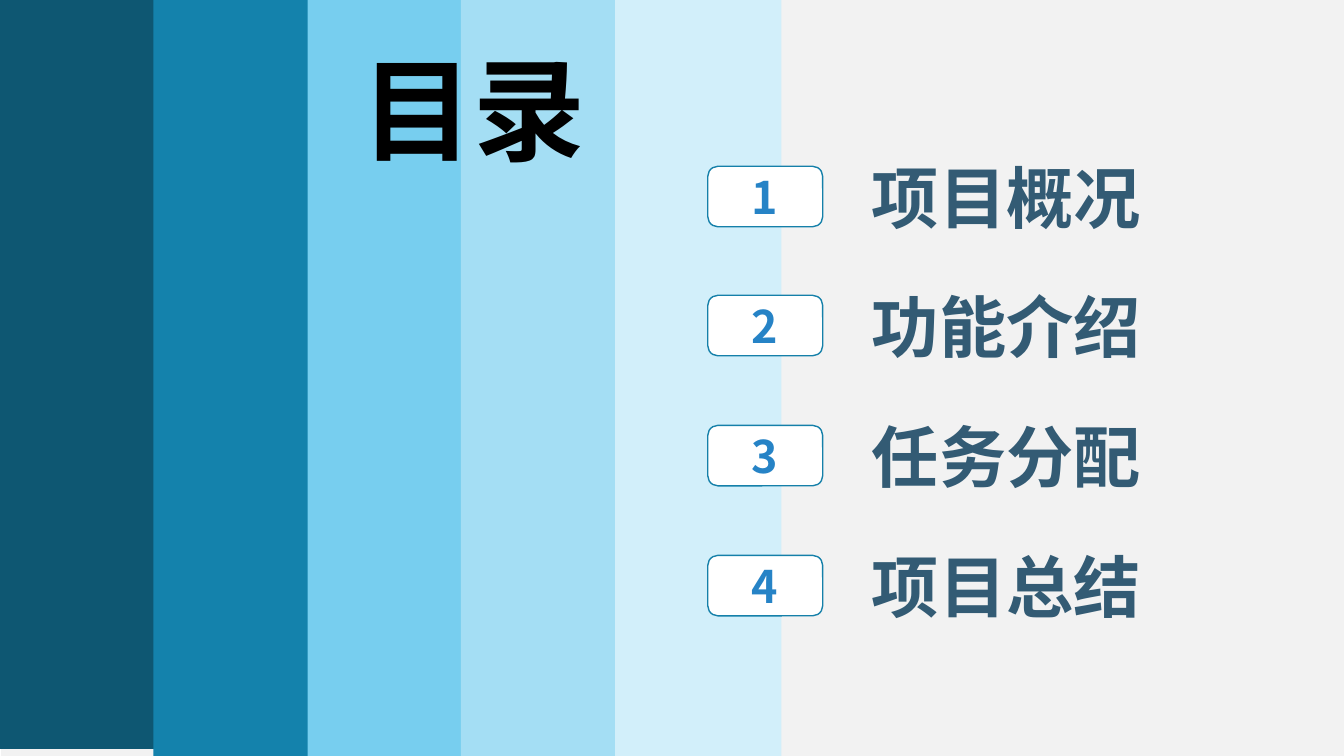
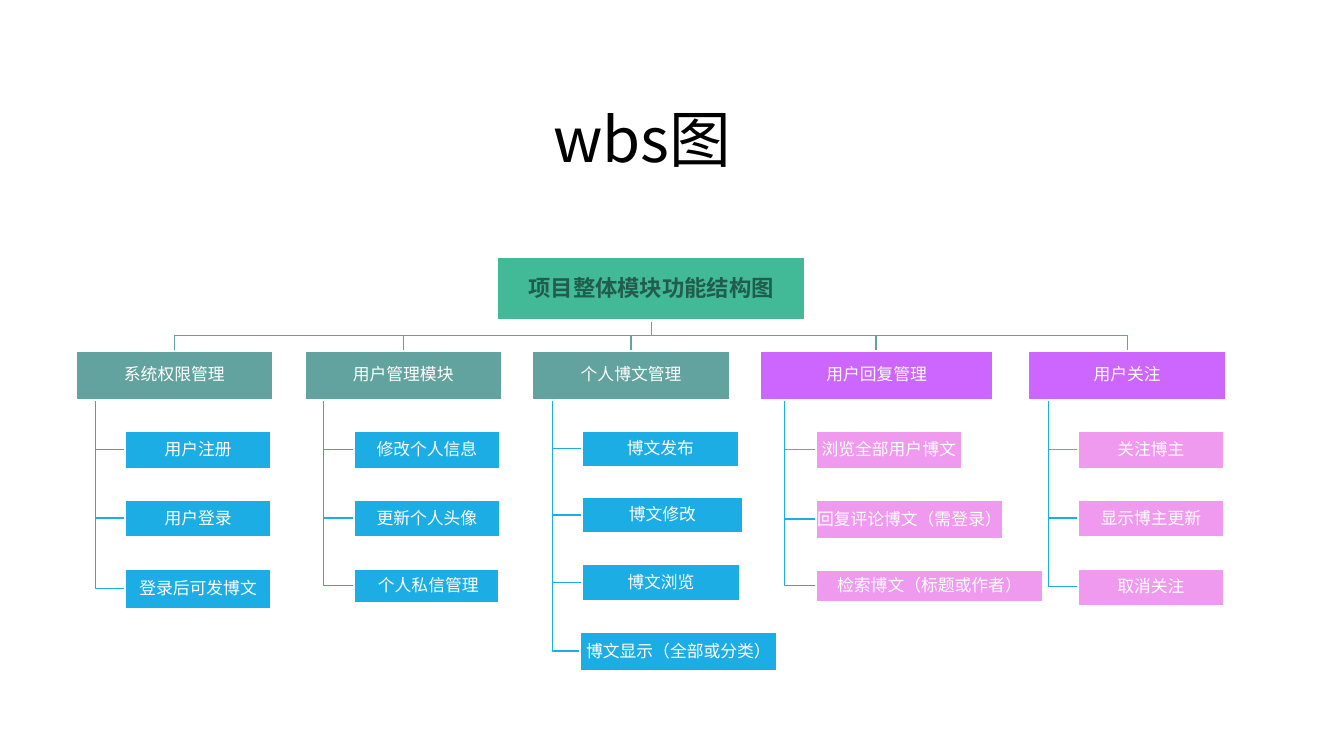
import lxml.etree
import pptx
import pptx.dml.color
import pptx.enum.dml
import pptx.enum.shapes
import pptx.enum.text
import pptx.oxml.ns
import pptx.util

PX = 9144
RGB = pptx.dml.color.RGBColor
SHAPE = pptx.enum.shapes.MSO_SHAPE
ALIGN = pptx.enum.text.PP_ALIGN
ANCHOR = pptx.enum.text.MSO_ANCHOR
FIT = pptx.enum.text.MSO_AUTO_SIZE
CJK_FONT = "Noto Sans CJK SC"

BLACK = RGB(0x00, 0x00, 0x00)
WHITE = RGB(0xFF, 0xFF, 0xFF)
PALE_GREY = RGB(0xF2, 0xF2, 0xF2)
SLATE = RGB(0x33, 0x5B, 0x74)
NUMBER_BLUE = RGB(0x26, 0x83, 0xC6)
NUMBER_EDGE = RGB(0x15, 0x80, 0xA9)
GREEN = RGB(0x42, 0xBA, 0x97)
DARK_GREEN = RGB(0x21, 0x5D, 0x4C)
TEAL = RGB(0x62, 0xA3, 0x9F)
SKY = RGB(0x1C, 0xAD, 0xE4)
PURPLE = RGB(0xCC, 0x66, 0xFF)
PINK = RGB(0xEF, 0x99, 0xEF)
STRIPES = [
    RGB(0x0E, 0x57, 0x72),
    RGB(0x14, 0x82, 0xAC),
    RGB(0x77, 0xCE, 0xEF),
    RGB(0xA4, 0xDE, 0xF4),
    RGB(0xD2, 0xEF, 0xFA),
]


def place(slide, bounds, kind=None, fill=None, line=None, weight=1):
    left, top, width, height = [length * PX for length in bounds]
    if kind is None:
        return slide.shapes.add_textbox(left, top, width, height)
    shape = slide.shapes.add_shape(kind, left, top, width, height)
    shape.shadow.inherit = False
    shape.fill.solid()
    shape.fill.fore_color.rgb = fill
    if line is None:
        shape.line.fill.background()
    else:
        shape.line.color.rgb = line
        shape.line.width = pptx.util.Pt(weight)
    return shape


def write(shape, text, size, color, font=CJK_FONT, bold=False, align=ALIGN.LEFT,
          anchor=ANCHOR.TOP, wrap=True, fit=FIT.NONE, inset=None, spacing=None):
    frame = shape.text_frame
    frame.word_wrap = wrap
    frame.auto_size = fit
    frame.vertical_anchor = anchor
    if inset is not None:
        frame.margin_left = frame.margin_right = inset * PX
        frame.margin_top = frame.margin_bottom = inset * PX
    paragraph = frame.paragraphs[0]
    paragraph.alignment = align
    if spacing is not None:
        paragraph.line_spacing = spacing
    run = paragraph.add_run()
    run.text = text
    run.font.size = pptx.util.Pt(size)
    run.font.bold = bold
    run.font.color.rgb = color
    run.font.name = font
    east_asian = lxml.etree.SubElement(run._r.get_or_add_rPr(), pptx.oxml.ns.qn("a:ea"))
    east_asian.set("typeface", CJK_FONT)


deck = pptx.Presentation()
deck.slide_width = 1333 * PX
deck.slide_height = 750 * PX
blank = deck.slide_layouts[6]

contents = deck.slides.add_slide(blank)
backdrop = contents.background.fill
backdrop.patterned()
backdrop.pattern = pptx.enum.dml.MSO_PATTERN.DARK_VERTICAL
backdrop.fore_color.rgb = PALE_GREY
backdrop.back_color.rgb = WHITE

for index, color in enumerate(STRIPES):
    left, top = (152 * index + index // 2, 0) if index else (-1, -7)
    place(contents, (left, top, 165, 750), SHAPE.RECTANGLE, color)

heading = place(contents, (349, 35, 245, 145))
write(heading, "目录", 80, BLACK, bold=True, wrap=False, fit=FIT.SHAPE_TO_FIT_TEXT)

for index, topic in enumerate(["项目概况", "功能介绍", "任务分配", "项目总结"]):
    top = 150 + round(128.5 * index)
    entry = place(contents, (855, top, 320, 91))
    write(entry, topic, 48, SLATE, font="Arial", bold=True, fit=FIT.SHAPE_TO_FIT_TEXT)
    number = place(contents, (702, top + 15, 114, 60), SHAPE.ROUNDED_RECTANGLE,
                   WHITE, NUMBER_EDGE)
    write(number, str(index + 1), 32, NUMBER_BLUE, bold=True,
          align=ALIGN.CENTER, anchor=ANCHOR.MIDDLE)

wbs = deck.slides.add_slide(blank)
wbs.background.fill.solid()
wbs.background.fill.fore_color.rgb = WHITE

ROOT_CENTER, ROOT_TOP, ROOT_BOTTOM = 646, 255, 318
BUS_Y, MODULE_TOP, MODULE_BOTTOM = 333, 348, 397
modules = [
    ("系统权限管理", 75, 196, 95, TEAL, SKY, SKY, [
        ("用户注册", 124, 428, 145, 37),
        ("用户登录", 124, 496, 145, 37),
        ("登录后可发博文", 124, 564, 145, 40),
    ]),
    ("用户管理模块", 302, 196, 321, TEAL, SKY, SKY, [
        ("修改个人信息", 351, 428, 145, 37),
        ("更新个人头像", 351, 496, 145, 37),
        (" 个人私信管理", 351, 564, 144, 34),
    ]),
    ("个人博文管理", 528, 196, 548, TEAL, SKY, SKY, [
        ("博文发布", 577, 428, 156, 35),
        ("博文修改", 577, 493, 160, 36),
        ("博文浏览", 577, 560, 157, 36),
        ("博文显示（全部或分类）", 575, 627, 196, 39),
    ]),
    ("用户回复管理", 754, 231, 778, PURPLE, PINK, PURPLE, [
        ("浏览全部用户博文", 809, 428, 145, 37),
        ("回复评论博文（需登录）", 809, 496, 186, 39),
        ("检索博文（标题或作者）", 809, 565, 226, 32),
    ]),
    ("用户关注", 1020, 196, 1040, PURPLE, PINK, PURPLE, [
        ("关注博主", 1069, 428, 145, 37),
        ("显示博主更新", 1069, 496, 145, 37),
        ("取消关注", 1069, 564, 145, 37),
    ]),
]

links = []
boxes = [("项目整体模块功能结构图", (493, ROOT_TOP, 306, ROOT_BOTTOM - ROOT_TOP),
          GREEN, 16, DARK_GREEN, True)]
for name, left, width, trunk, module_color, task_color, first_link, tasks in modules:
    center = left + width // 2
    links.append(([(ROOT_CENTER, ROOT_BOTTOM), (ROOT_CENTER, BUS_Y),
                   (center, BUS_Y), (center, MODULE_TOP)], TEAL))
    boxes.append((name, (left, MODULE_TOP, width, MODULE_BOTTOM - MODULE_TOP),
                  module_color, 12, WHITE, False))
    for index, (task, task_left, top, task_width, height) in enumerate(tasks):
        middle = top + height // 2
        links.append(([(trunk, MODULE_BOTTOM), (trunk, middle), (task_left, middle)],
                      SKY if index else first_link))
        boxes.append((task, (task_left, top, task_width, height),
                      task_color, 12, WHITE, False))

for points, color in links:
    outline = wbs.shapes.build_freeform(*points[0], scale=PX)
    outline.add_line_segments(points[1:], close=False)
    link = outline.convert_to_shape()
    link.shadow.inherit = False
    link.fill.background()
    link.line.color.rgb = color
    link.line.width = pptx.util.Pt(1)

for label, bounds, fill, size, color, bold in boxes:
    node = place(wbs, bounds, SHAPE.RECTANGLE, fill, WHITE, 1.5)
    write(node, label, size, color, bold=bold, align=ALIGN.CENTER,
          anchor=ANCHOR.MIDDLE, inset=1, spacing=0.9)

title = place(wbs, (539, 95, 201, 84))
write(title, "wbs图", 44, BLACK, fit=FIT.SHAPE_TO_FIT_TEXT)

deck.save("out.pptx")
